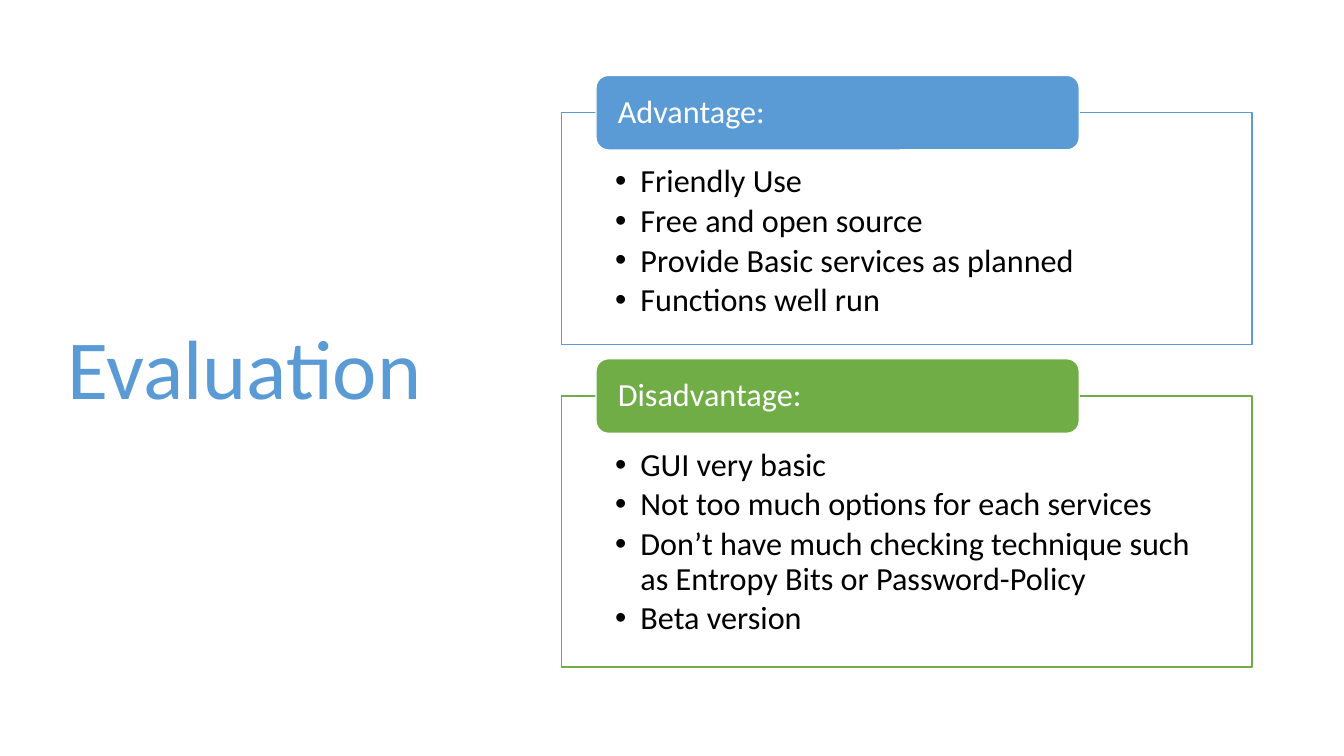
"""Build the Evaluation slide: a title beside two labelled list panels."""
import dataclasses

import lxml.etree
import pptx
import pptx.dml.color
import pptx.enum.shapes
import pptx.enum.text
import pptx.oxml.ns
import pptx.util

Cm = pptx.util.Cm
Pt = pptx.util.Pt
SHAPES = pptx.enum.shapes.MSO_SHAPE


@dataclasses.dataclass(frozen=True)
class Theme:
    """Colours, font and type sizes of the slide."""
    blue: str = "5B9BD5"
    green: str = "70AD47"
    white: str = "FFFFFF"
    black: str = "000000"
    font: str = "Calibri"
    title_size: int = 60
    body_size: int = 23


THEME = Theme()
PANEL_LEFT, PANEL_WIDTH, PANEL_GAP = 14.15, 17.4, 1.3
FIRST_PANEL_TOP = 2.84
TAB_HEIGHT = 1.88

PANELS = [
    ("Advantage:", THEME.blue, 5.84, [
        "Friendly Use",
        "Free and open source",
        "Provide Basic services as planned",
        "Functions well run",
    ]),
    ("Disadvantage:", THEME.green, 6.83, [
        "GUI very basic",
        "Not too much options for each services",
        "Don’t have much checking technique such as Entropy Bits or Password-Policy",
        "Beta version",
    ]),
]


def rgb(value):
    """Turn a hex string into a colour."""
    return pptx.dml.color.RGBColor.from_string(value)


def child(parent, tag, **attributes):
    """Append a DrawingML element to a parent."""
    return lxml.etree.SubElement(parent, pptx.oxml.ns.qn(tag), attributes)


def set_frame(frame, anchor, margins):
    """Set wrapping, anchor and the left, top, right, bottom margins in cm."""
    frame.word_wrap = True
    frame.vertical_anchor = anchor
    (frame.margin_left, frame.margin_top,
     frame.margin_right, frame.margin_bottom) = map(Cm, margins)


def write(para, text, size, color):
    """Write one left-aligned run into a paragraph."""
    para.alignment = pptx.enum.text.PP_ALIGN.LEFT
    para.line_spacing = 0.9
    span = para.add_run()
    span.text = text
    span.font.name = THEME.font
    span.font.size = Pt(size)
    span.font.color.rgb = rgb(color)


def add_bullet(para):
    """Give a paragraph a round bullet with a hanging indent."""
    properties = para._p.get_or_add_pPr()
    properties.set("marL", str(Cm(0.64)))
    properties.set("indent", str(-Cm(0.64)))
    child(properties, "a:buFont", typeface="Arial")
    child(properties, "a:buChar", char="•")


def add_box(page, kind, place, fill, line):
    """Add a flat preset shape; place is left, top, width, height in cm."""
    box = page.shapes.add_shape(kind, *map(Cm, place))
    box.shadow.inherit = False
    box.fill.solid()
    box.fill.fore_color.rgb = rgb(fill)
    box.line.color.rgb = rgb(line)
    box.line.width = Pt(1)
    return box


def add_title(page, text):
    """Add the large title at the left."""
    box = page.shapes.add_textbox(Cm(1.45), Cm(1.73), Cm(10.57), Cm(15.29))
    set_frame(box.text_frame, pptx.enum.text.MSO_ANCHOR.MIDDLE,
              (0.25, 0.13, 0.25, 0.13))
    write(box.text_frame.paragraphs[0], text, THEME.title_size, THEME.blue)


def add_list_panel(page, top, height, color, items):
    """Add an outlined panel holding a bulleted list."""
    panel = add_box(page, SHAPES.RECTANGLE,
                    (PANEL_LEFT, top, PANEL_WIDTH, height), THEME.white, color)
    fill_color = panel._element.spPr.find(".//" + pptx.oxml.ns.qn("a:srgbClr"))
    child(fill_color, "a:alpha", val="90000")
    frame = panel.text_frame
    set_frame(frame, pptx.enum.text.MSO_ANCHOR.TOP, (1.35, 1.32, 1.35, 0.46))
    for index, item in enumerate(items):
        para = frame.add_paragraph() if index else frame.paragraphs[0]
        para.level = 1
        write(para, item, THEME.body_size, THEME.black)
        para.space_after = Pt(3.45)
        add_bullet(para)


def add_tab(page, panel_top, color, label):
    """Add the rounded label centred on the top edge of a panel."""
    place = (PANEL_LEFT + 0.05 * PANEL_WIDTH, panel_top - TAB_HEIGHT / 2,
             0.7 * PANEL_WIDTH, TAB_HEIGHT)
    tab = add_box(page, SHAPES.ROUNDED_RECTANGLE, place, color, THEME.white)
    set_frame(tab.text_frame, pptx.enum.text.MSO_ANCHOR.MIDDLE,
              (0.46, 0, 0.46, 0))
    write(tab.text_frame.paragraphs[0], label, THEME.body_size, THEME.white)


def main():
    """Build and save the deck."""
    deck = pptx.Presentation()
    deck.slide_width, deck.slide_height = Cm(33.87), Cm(19.05)
    page = deck.slides.add_slide(deck.slide_layouts[6])
    add_title(page, "Evaluation")
    top = FIRST_PANEL_TOP
    for label, color, height, items in PANELS:
        add_list_panel(page, top, height, color, items)
        add_tab(page, top, color, label)
        top += height + PANEL_GAP
    deck.save("out.pptx")


main()
